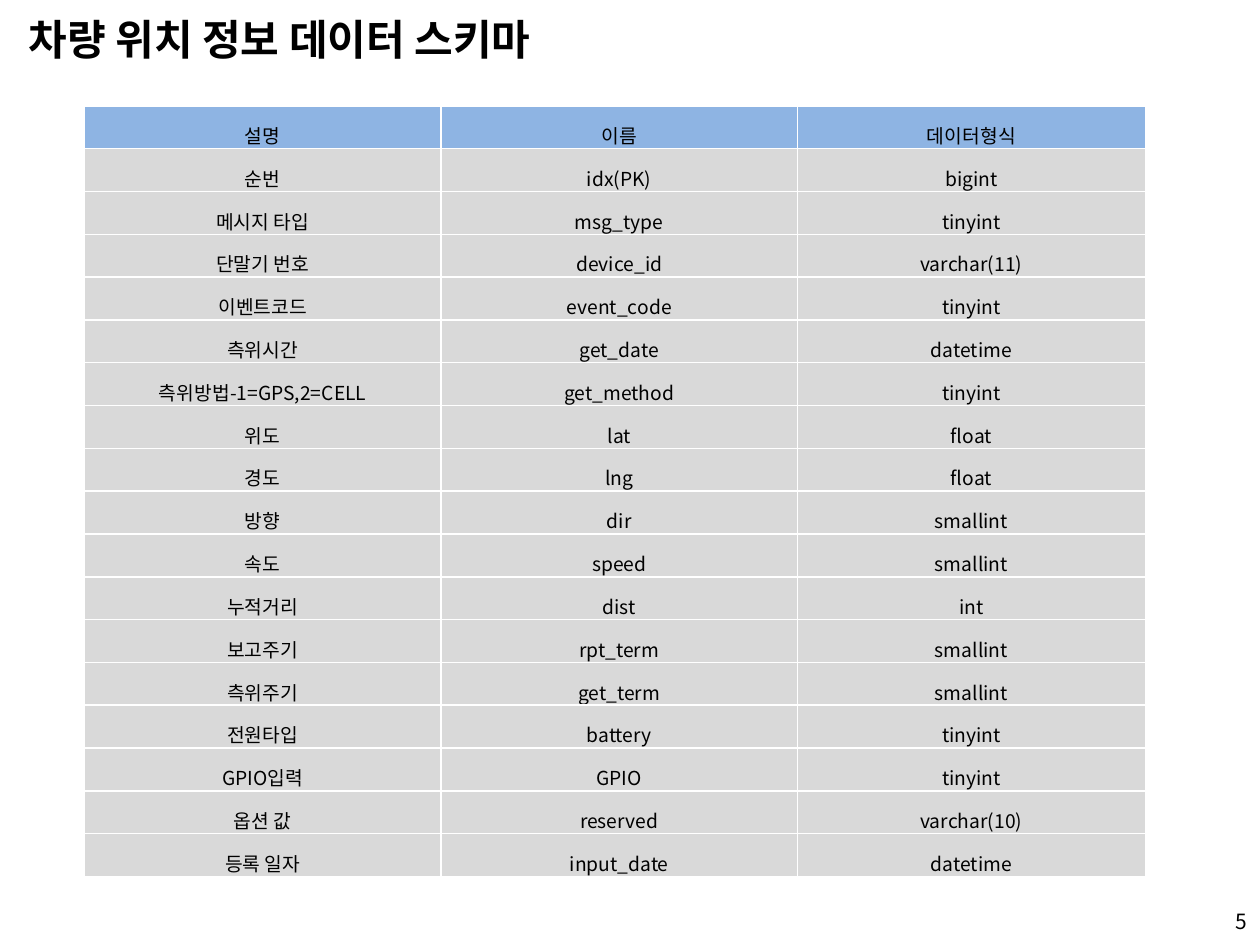
from pptx import Presentation, util as u
from pptx.dml.color import RGBColor
from pptx.enum import text
from pptx.oxml import parse_xml
from pptx.oxml.ns import nsdecls

BLACK = RGBColor(0x00, 0x00, 0x00)
HEADER_BLUE = RGBColor(0x8E, 0xB4, 0xE3)
ROW_GREY = RGBColor(0xD9, 0xD9, 0xD9)
BORDER_WHITE = RGBColor(0xFF, 0xFF, 0xFF)
KOREAN = "Noto Sans CJK KR"

COLUMN_WIDTHS = [2.83, 2.83, 2.76]
ROW_HEIGHT = 0.34
SCHEMA = [
    ("설명", "이름", "데이터형식"),
    ("순번", "idx(PK)", "bigint"),
    ("메시지 타입", "msg_type", "tinyint"),
    ("단말기 번호", "device_id", "varchar(11)"),
    ("이벤트코드", "event_code", "tinyint"),
    ("측위시간", "get_date", "datetime"),
    ("측위방법-1=GPS,2=CELL", "get_method", "tinyint"),
    ("위도", "lat", "float"),
    ("경도", "lng", "float"),
    ("방향", "dir", "smallint"),
    ("속도", "speed", "smallint"),
    ("누적거리", "dist", "int"),
    ("보고주기", "rpt_term", "smallint"),
    ("측위주기", "get_term", "smallint"),
    ("전원타입", "battery", "tinyint"),
    ("GPIO입력", "GPIO", "tinyint"),
    ("옵션 값", "reserved", "varchar(10)"),
    ("등록 일자", "input_date", "datetime"),
]


def write(frame, wording, size, align, font=KOREAN, bold=False, spacing=None):
    paragraph = frame.paragraphs[0]
    paragraph.text = wording
    paragraph.alignment = align
    paragraph.line_spacing = spacing
    paragraph.font.name = font
    paragraph.font.size = u.Pt(size)
    paragraph.font.bold = bold
    paragraph.font.color.rgb = BLACK


def add_borders(cell):
    properties = cell._tc.get_or_add_tcPr()
    for position, side in enumerate(("lnL", "lnR", "lnT", "lnB")):
        properties.insert(position, parse_xml(
            f'<a:{side} {nsdecls("a")} w="{u.Pt(1)}"><a:solidFill>'
            f'<a:srgbClr val="{BORDER_WHITE}"/></a:solidFill></a:{side}>'))


deck = Presentation()
deck.slide_width, deck.slide_height = u.Inches(10), u.Inches(7.5)
slide = deck.slides.add_slide(deck.slide_layouts[6])

title = slide.shapes.add_textbox(
    u.Inches(0.13), u.Inches(0.01), u.Inches(9.6), u.Inches(0.6)).text_frame
title.word_wrap = True
title.vertical_anchor = text.MSO_ANCHOR.MIDDLE
write(title, "차량 위치 정보 데이터 스키마", 24, text.PP_ALIGN.LEFT, "Arial", True)

schema = slide.shapes.add_table(
    len(SCHEMA), len(COLUMN_WIDTHS), u.Inches(0.67), u.Inches(0.84),
    u.Inches(sum(COLUMN_WIDTHS)), u.Inches(ROW_HEIGHT * len(SCHEMA))).table
schema.horz_banding = False
for column, width in zip(schema.columns, COLUMN_WIDTHS):
    column.width = u.Inches(width)

for row, entries in enumerate(SCHEMA):
    schema.rows[row].height = u.Inches(ROW_HEIGHT)
    for column, entry in enumerate(entries):
        cell = schema.cell(row, column)
        cell.margin_left = cell.margin_right = cell.margin_top = u.Inches(0.01)
        cell.margin_bottom = 0
        cell.vertical_anchor = text.MSO_ANCHOR.MIDDLE
        cell.fill.solid()
        cell.fill.fore_color.rgb = ROW_GREY if row else HEADER_BLUE
        add_borders(cell)
        write(cell.text_frame, entry, 11, text.PP_ALIGN.CENTER, spacing=1.5)

page_number = slide.shapes.add_textbox(
    u.Inches(9.08), u.Inches(7.06), u.Inches(0.92), u.Inches(0.4)).text_frame
page_number.word_wrap = True
page_number.vertical_anchor = text.MSO_ANCHOR.BOTTOM
write(page_number, "5", 12, text.PP_ALIGN.RIGHT)

deck.save("out.pptx")
